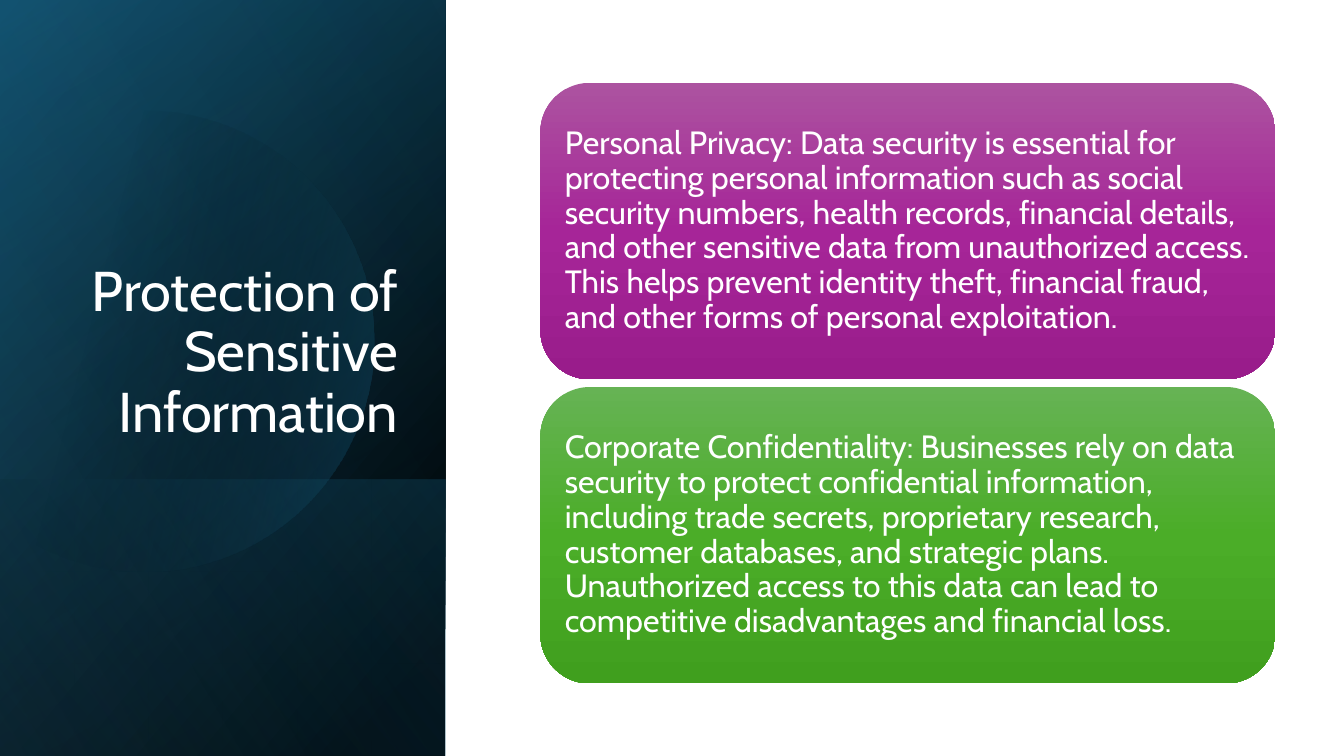
import math

import pptx
import pptx.dml.color
import pptx.enum.shapes
import pptx.enum.text
import pptx.oxml.ns
import pptx.util
from lxml import etree

Pt = pptx.util.Pt
RGBColor = pptx.dml.color.RGBColor
qn = pptx.oxml.ns.qn
SHAPE = pptx.enum.shapes.MSO_SHAPE
ANCHOR = pptx.enum.text.MSO_ANCHOR
ALIGN = pptx.enum.text.PP_ALIGN

FONT = "Cabin"
WHITE = RGBColor(0xFF, 0xFF, 0xFF)
BLACK = RGBColor(0x00, 0x00, 0x00)
NAVY = RGBColor(0x10, 0x48, 0x62)
TEAL = RGBColor(0x15, 0x60, 0x82)
SKY = RGBColor(0x46, 0xB1, 0xE1)
PURPLES = (RGBColor(0xAC, 0x53, 0xA0), RGBColor(0xA6, 0x25, 0x98), RGBColor(0x99, 0x1C, 0x8B))
GREENS = (RGBColor(0x66, 0xB3, 0x54), RGBColor(0x4B, 0xAD, 0x28), RGBColor(0x40, 0x9F, 0x1E))

TITLE = "Protection of Sensitive Information"
CARDS = [
    (
        "Personal Privacy: Data security is essential for protecting personal information "
        "such as social security numbers, health records, financial details, and other "
        "sensitive data from unauthorized access. This helps prevent identity theft, "
        "financial fraud, and other forms of personal exploitation.",
        PURPLES,
    ),
    (
        "Corporate Confidentiality: Businesses rely on data security to protect confidential "
        "information, including trade secrets, proprietary research, customer databases, and "
        "strategic plans. Unauthorized access to this data can lead to competitive "
        "disadvantages and financial loss.",
        GREENS,
    ),
]


def paint_gradient(shape, stops, angle):
    shape.shadow.inherit = False
    shape.line.fill.background()
    shape.fill.gradient()
    shape.fill.gradient_angle = (360 - angle) % 360
    stop_list = shape.element.spPr.find(qn("a:gradFill")).find(qn("a:gsLst"))
    for old_stop in list(stop_list):
        stop_list.remove(old_stop)
    for position, color, opacity in stops:
        stop = etree.SubElement(stop_list, qn("a:gs"), pos=str(position * 1000))
        tint = etree.SubElement(stop, qn("a:srgbClr"), val=str(color))
        if opacity < 100:
            etree.SubElement(tint, qn("a:alpha"), val=str(opacity * 1000))


def add_turned_layer(page, left, top, width, height, stops, angle):
    shape = page.shapes.add_shape(
        SHAPE.RECTANGLE,
        Pt(left + (width - height) / 2),
        Pt(top + (height - width) / 2),
        Pt(height),
        Pt(width),
    )
    shape.rotation = 90
    shape.element.spPr.find(qn("a:xfrm")).set("flipH", "1")
    paint_gradient(shape, stops, angle)


def add_clipped_circle(page, left, top):
    center_x, center_y, radius = 103, 243.4, 164.5
    limit = math.acos(-center_x / radius)
    steps = 120
    points = []
    for step in range(steps + 1):
        turn = limit * (2 * step / steps - 1)
        x = left + center_x + radius * math.cos(turn)
        y = top + center_y + radius * math.sin(turn)
        points.append((Pt(x), Pt(y)))
    builder = page.shapes.build_freeform(*points[0])
    builder.add_line_segments(points[1:], close=True)
    paint_gradient(builder.convert_to_shape(), [(29, BLACK, 0), (100, TEAL, 43)], 14)


def add_side_panel(page, left, top, width, height):
    base_height = 197.3
    panel = (left, top, width, height)
    base = (left, top + height - base_height, width, base_height)
    add_turned_layer(page, *panel, [(8, BLACK, 100), (100, NAVY, 100)], 50)
    add_turned_layer(page, *panel, [(0, BLACK, 0), (99, TEAL, 46)], 30)
    add_turned_layer(page, *base, [(2, TEAL, 29), (100, BLACK, 30)], 130)
    add_clipped_circle(page, left, top)
    add_turned_layer(page, *panel, [(0, BLACK, 0), (99, SKY, 11)], 120)
    add_title(page, left + 46, top + 132.5, 245.5, 188.6)


def add_title(page, left, top, width, height):
    title = page.shapes.title
    title.left, title.top, title.width, title.height = Pt(left), Pt(top), Pt(width), Pt(height)
    title.element.getparent().append(title.element)
    frame = title.text_frame
    frame.text = TITLE
    frame.word_wrap = True
    frame.auto_size = pptx.enum.text.MSO_AUTO_SIZE.NONE
    frame.vertical_anchor = ANCHOR.BOTTOM
    style_paragraph(frame.paragraphs[0], 40, ALIGN.RIGHT)


def style_paragraph(para, size, alignment):
    para.alignment = alignment
    para.line_spacing = 0.9
    para.font.name = FONT
    para.font.size = Pt(size)
    para.font.color.rgb = WHITE


def add_card(page, left, top, width, height, text, colors):
    card = page.shapes.add_shape(SHAPE.ROUNDED_RECTANGLE, Pt(left), Pt(top), Pt(width), Pt(height))
    paint_gradient(card, [(50 * i, color, 100) for i, color in enumerate(colors)], 90)
    frame = card.text_frame
    frame.text = text
    frame.word_wrap = True
    frame.vertical_anchor = ANCHOR.MIDDLE
    frame.margin_left = frame.margin_right = Pt(7.2)
    frame.margin_top = frame.margin_bottom = Pt(7.2)
    para = frame.paragraphs[0]
    style_paragraph(para, 23, ALIGN.LEFT)
    para.space_after = Pt(8)


def add_cards(page, left, top, width, height):
    gap = 5.5
    card_height = (height - gap * (len(CARDS) - 1)) / len(CARDS)
    for index, (text, colors) in enumerate(CARDS):
        card_top = top + index * (card_height + gap)
        add_card(page, left, card_top, width, card_height, text, colors)


def main():
    deck = pptx.Presentation()
    deck.slide_width, deck.slide_height = Pt(960), Pt(540)
    page = deck.slides.add_slide(deck.slide_layouts[5])
    add_side_panel(page, 0, 0, 318.2, 540)
    add_cards(page, 386, 59.2, 525, 429)
    deck.save("out.pptx")


if __name__ == "__main__":
    main()
